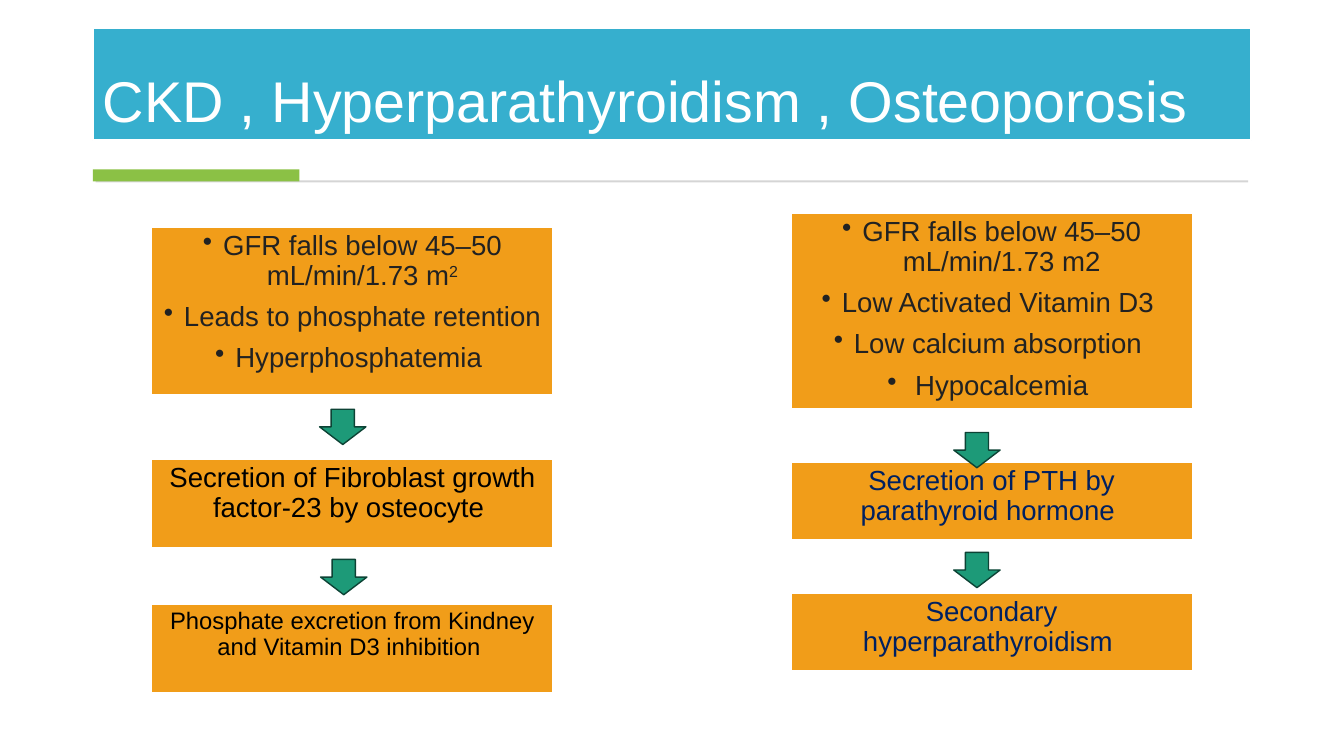
import pptx
import pptx.util
import pptx.dml.color
import pptx.enum.shapes
import pptx.enum.text
from lxml import etree

Inches = pptx.util.Inches
Pt = pptx.util.Pt
RGB = pptx.dml.color.RGBColor.from_string
SHAPES = pptx.enum.shapes.MSO_SHAPE
ALIGN = pptx.enum.text.PP_ALIGN
ANCHOR = pptx.enum.text.MSO_ANCHOR

THEME = {
    "font": "Arial", "banner": "36AFCE", "white": "FFFFFF", "rule": "D5D5D5",
    "accent": "8BC145", "box": "F19D19", "arrow": "1D9A78", "arrow_edge": "0D4335",
    "grey": "222222", "navy": "002060", "black": "000000",
    "title_size": 41, "body_size": 19.7, "small_size": 17,
}


def add_block(kind, left, top, width, height, fill, edge=None, edge_width=1.5):
    block = slide.shapes.add_shape(
        kind, Inches(left), Inches(top), Inches(width), Inches(height))
    block.shadow.inherit = False
    block.fill.solid()
    block.fill.fore_color.rgb = RGB(THEME[fill])
    if edge:
        block.line.color.rgb = RGB(THEME[edge])
        block.line.width = Pt(edge_width)
    else:
        block.line.fill.background()
    return block


def write(block, paragraphs, color, size, align=ALIGN.CENTER, anchor=ANCHOR.TOP, bullets=False):
    frame = block.text_frame
    frame.word_wrap = True
    frame.vertical_anchor = anchor
    for index, runs in enumerate(paragraphs):
        paragraph = frame.add_paragraph() if index else frame.paragraphs[0]
        if bullets:
            properties = paragraph._p.get_or_add_pPr()
            properties.set("marL", str(Inches(0.2)))
            properties.set("indent", str(-Inches(0.2)))
            bullet = etree.SubElement(properties, pptx.oxml.ns.qn("a:buChar"))
            bullet.set("char", "•")
        paragraph.alignment = align
        paragraph.line_spacing = 0.9
        if index:
            paragraph.space_before = Pt(8.2)
        for position, text in enumerate(runs):
            run = paragraph.add_run()
            run.text = text
            run.font.name = THEME["font"]
            run.font.size = Pt(THEME[size])
            run.font.color.rgb = RGB(THEME[color])
            if position:
                run.font._element.set("baseline", "30000")


deck = pptx.Presentation()
deck.slide_width = Inches(13.33)
deck.slide_height = Inches(7.5)
slide = deck.slides.add_slide(deck.slide_layouts[6])

title = add_block(SHAPES.RECTANGLE, 0.92, 0.28, 11.49, 1.11, "banner", "white")
write(title, [["CKD , Hyperparathyroidism , Osteoporosis"]], "white", "title_size",
      ALIGN.LEFT, ANCHOR.BOTTOM)
add_block(SHAPES.RECTANGLE, 0.95, 1.79, 11.43, 0.02, "rule")
add_block(SHAPES.RECTANGLE, 0.92, 1.68, 2.05, 0.12, "accent")

phosphate_left, calcium_left = 1.5, 7.84
steps = [
    (phosphate_left, 2.25, 1.67, "grey", "body_size", [
        ["GFR falls below 45–50 mL/min/1.73 m", "2"],
        ["Leads to phosphate retention"],
        ["Hyperphosphatemia "]]),
    (phosphate_left, 4.55, 0.89, "black", "body_size", [
        ["Secretion of Fibroblast growth factor-23 by osteocyte "]]),
    (phosphate_left, 5.99, 0.89, "black", "small_size", [
        ["Phosphate excretion from Kindney and Vitamin D3 inhibition "]]),
    (calcium_left, 2.11, 1.95, "grey", "body_size", [
        ["GFR falls below 45–50 mL/min/1.73 m2"],
        ["Low Activated Vitamin D3 "],
        ["Low calcium absorption "],
        [" Hypocalcemia "]]),
    (calcium_left, 4.58, 0.78, "navy", "body_size", [
        ["Secretion of PTH by parathyroid hormone "]]),
    (calcium_left, 5.88, 0.78, "navy", "body_size", [
        ["Secondary hyperparathyroidism "]]),
]
for left, top, height, color, size, paragraphs in steps:
    step = add_block(SHAPES.RECTANGLE, left, top, 3.99, height, "box", "white")
    write(step, paragraphs, color, size, bullets=len(paragraphs) > 1)

for left, top in [(3.17, 4.06), (3.18, 5.55), (9.46, 4.29), (9.46, 5.48)]:
    add_block(SHAPES.DOWN_ARROW, left, top, 0.46, 0.35, "arrow", "arrow_edge", 1)

deck.save("out.pptx")
